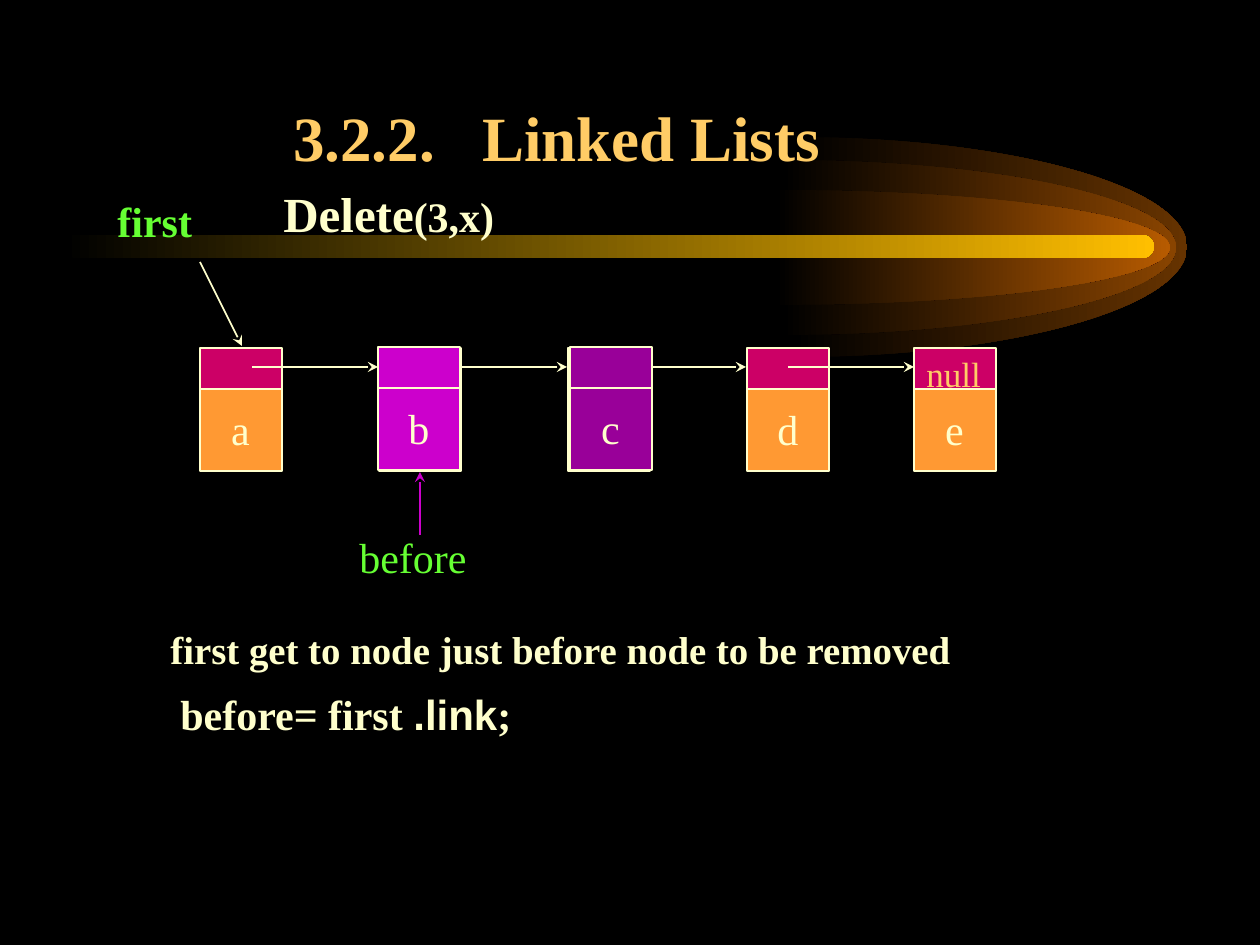
from dataclasses import dataclass

from lxml.etree import SubElement
from pptx import Presentation
from pptx.dml.color import RGBColor
from pptx.enum.shapes import MSO_CONNECTOR as Connector, MSO_SHAPE as Shape
from pptx.enum.text import MSO_ANCHOR as Anchor, PP_ALIGN as Align
from pptx.oxml.ns import qn
from pptx.util import Emu, Pt


@dataclass(frozen=True)
class Theme:
    background: str = "000000"
    title: str = "FFCC66"
    text: str = "FFFFCC"
    pointer: str = "66FF33"
    link: str = "CC0066"
    data: str = "FF9933"
    before: str = "CC00CC"
    removed: str = "990099"
    bar: str = "FFBF00"
    serif: str = "Times New Roman"
    sans: str = "Arial"
    title_size: float = 36
    heading_size: float = 28
    body_size: float = 24
    note_size: float = 22.2
    small_size: float = 20


theme = Theme()
rgb = RGBColor.from_string
SCALE = 914400 / 126


def px(length):
    return Emu(round(length * SCALE))


def write(shape, *runs, size=theme.body_size, color=theme.text, bold=False,
          align=Align.LEFT, anchor=Anchor.TOP):
    """Fill a shape with one paragraph; each run is (text, font overrides)."""
    frame = shape.text_frame
    frame.word_wrap = True
    frame.vertical_anchor = anchor
    paragraph = frame.paragraphs[0]
    paragraph.alignment = align
    for text, overrides in runs:
        run = paragraph.add_run()
        run.text = text
        run.font.name = overrides.get("font", theme.serif)
        run.font.size = Pt(overrides.get("size", size))
        run.font.bold = bold
        run.font.color.rgb = rgb(color)
        if "spacing" in overrides:
            run.font._element.set("spc", str(overrides["spacing"] * 100))


presentation = Presentation()
presentation.slide_width, presentation.slide_height = px(1260), px(945)
slide = presentation.slides.add_slide(presentation.slide_layouts[5])
slide.background.fill.solid()
slide.background.fill.fore_color.rgb = rgb(theme.background)
shapes = slide.shapes

# Comet: three nested half ellipses and a bar, all fading in from black
GLOW_WIDTH, CURVE = 394, 0.55
comet = []
for left, top, height, color in [(793, 137, 220, "663300"), (782, 160, 175, "894400"),
                                 (776, 190, 115, "B75B00")]:
    builder = shapes.build_freeform(px(left), px(top))
    builder.add_line_segments([(px(left + GLOW_WIDTH), px(top + height / 2)),
                               (px(left), px(top + height))], close=True)
    glow = builder.convert_to_shape()
    # Bend the two straight segments into quarter ellipses
    reach, half = GLOW_WIDTH * CURVE, height / 2
    quarters = [
        [(reach, 0), (GLOW_WIDTH, half * (1 - CURVE)), (GLOW_WIDTH, half)],
        [(GLOW_WIDTH, half * (1 + CURVE)), (reach, height), (0, height)],
    ]
    for segment, quarter in zip(list(glow._element.iter(qn("a:lnTo"))), quarters):
        curve = segment.makeelement(qn("a:cubicBezTo"), {})
        for x, y in quarter:
            SubElement(curve, qn("a:pt"), x=str(px(x)), y=str(px(y)))
        segment.getparent().replace(segment, curve)
    comet.append((glow, color))
bar = shapes.add_shape(Shape.ROUNDED_RECTANGLE, px(63), px(235), px(1091), px(23))
bar.adjustments[0] = 0.5
comet.append((bar, theme.bar))
for shape, color in comet:
    shape.shadow.inherit = False
    shape.line.fill.background()
    shape.fill.gradient()
    shape.fill.gradient_angle = 0
    for stop, stop_color, position in zip(shape.fill.gradient_stops,
                                          (theme.background, color), (0, 1)):
        stop.color.rgb = rgb(stop_color)
        stop.position = position

title = shapes.title
title.left, title.top, title.width, title.height = px(42), px(84), px(1029), px(105)
write(title, ("3.2.2.", {}), (" ", {"spacing": 18}), ("Linked Lists", {}),
      size=theme.title_size, color=theme.title, bold=True,
      align=Align.CENTER, anchor=Anchor.MIDDLE)
bar._element.addnext(title._element)  # the title stands in front of the comet

# Nodes, back to front: the plain list, then the two highlighted nodes
NODE, LINK_HEIGHT, LINK_Y = 82, 41, 367
plain = (348, theme.link, theme.data)
plain_nodes = [("a", 200, *plain), ("", 379, *plain), ("", 568, *plain),
               ("d", 747, *plain), ("e", 914, *plain)]
highlighted_nodes = [("c", 570, 347, theme.removed, theme.removed),
                     ("b", 378, 347, theme.before, theme.before)]
arrows = [
    (252, LINK_Y, 378, LINK_Y, theme.text),
    (420, LINK_Y, 567, LINK_Y, theme.text),
    (620, LINK_Y, 746, LINK_Y, theme.text),
    (788, LINK_Y, 914, LINK_Y, theme.text),
    (200, 262, 242, 346, theme.text),
    (420, 535, 420, 472, theme.before),
]
for layer, layer_arrows in [(plain_nodes, arrows), (highlighted_nodes, [])]:
    for label, left, top, link_color, data_color in layer:
        for cell_top, height, color in [(top + LINK_HEIGHT, NODE, data_color),
                                        (top, LINK_HEIGHT, link_color)]:
            cell = shapes.add_shape(Shape.RECTANGLE, px(left), px(cell_top),
                                    px(NODE), px(height))
            cell.shadow.inherit = False
            cell.fill.solid()
            cell.fill.fore_color.rgb = rgb(color)
            cell.line.color.rgb = rgb(theme.text)
            cell.line.width = Pt(1)
        if label:
            letter = shapes.add_textbox(px(left + 18), px(top + 49), px(45), px(63))
            write(letter, (label, {}), align=Align.CENTER)
    for *ends, color in layer_arrows:
        arrow = shapes.add_connector(Connector.STRAIGHT, *map(px, ends))
        arrow.line.color.rgb = rgb(color)
        arrow.line.width = Pt(1)
        line = arrow.line._get_or_add_ln()
        SubElement(line, qn("a:tailEnd"), type="stealth")
        SubElement(arrow._element.spPr, qn("a:effectLst"))

# Labels and notes
labels = [
    (914, 346, 84, 54, [("null", {})], dict(size=theme.small_size, color=theme.title)),
    (105, 189, 231, 63, [("first", {})], dict(color=theme.pointer, bold=True)),
    (347, 525, 252, 63, [("before", {})], dict(color=theme.pointer)),
    (271, 177, 236, 72, [("Delete", {"size": theme.heading_size}), ("(3,x)", {})],
     dict(bold=True)),
    (158, 620, 1050, 63, [("first get to node just before node to be removed", {})],
     dict(size=theme.note_size, bold=True)),
    (168, 682, 882, 105,
     [("before= first ", {}), (".link", {"font": theme.sans}), (";", {})], dict(bold=True)),
]
for *box, runs, style in labels:
    write(shapes.add_textbox(*map(px, box)), *runs, **style)

presentation.save("out.pptx")
